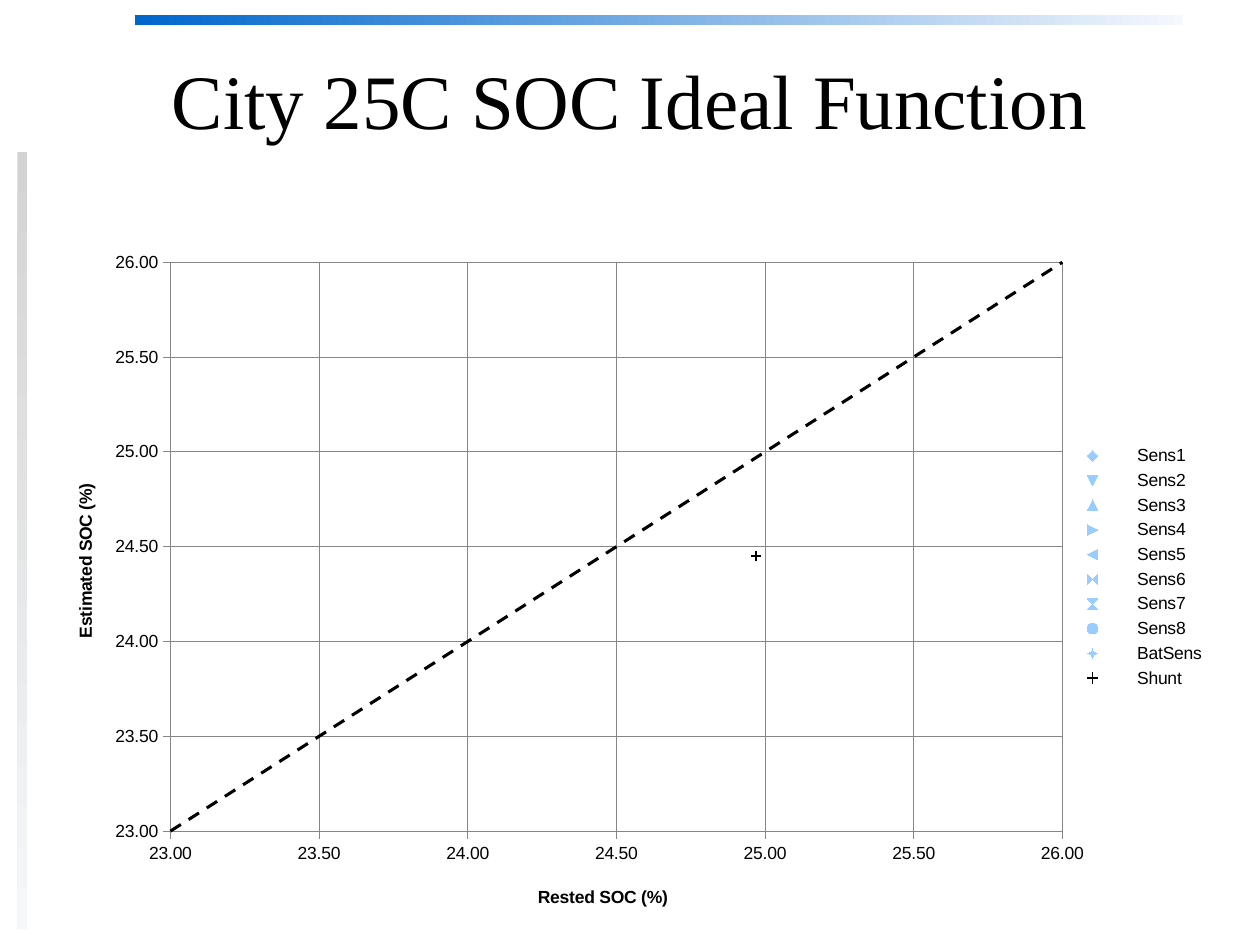
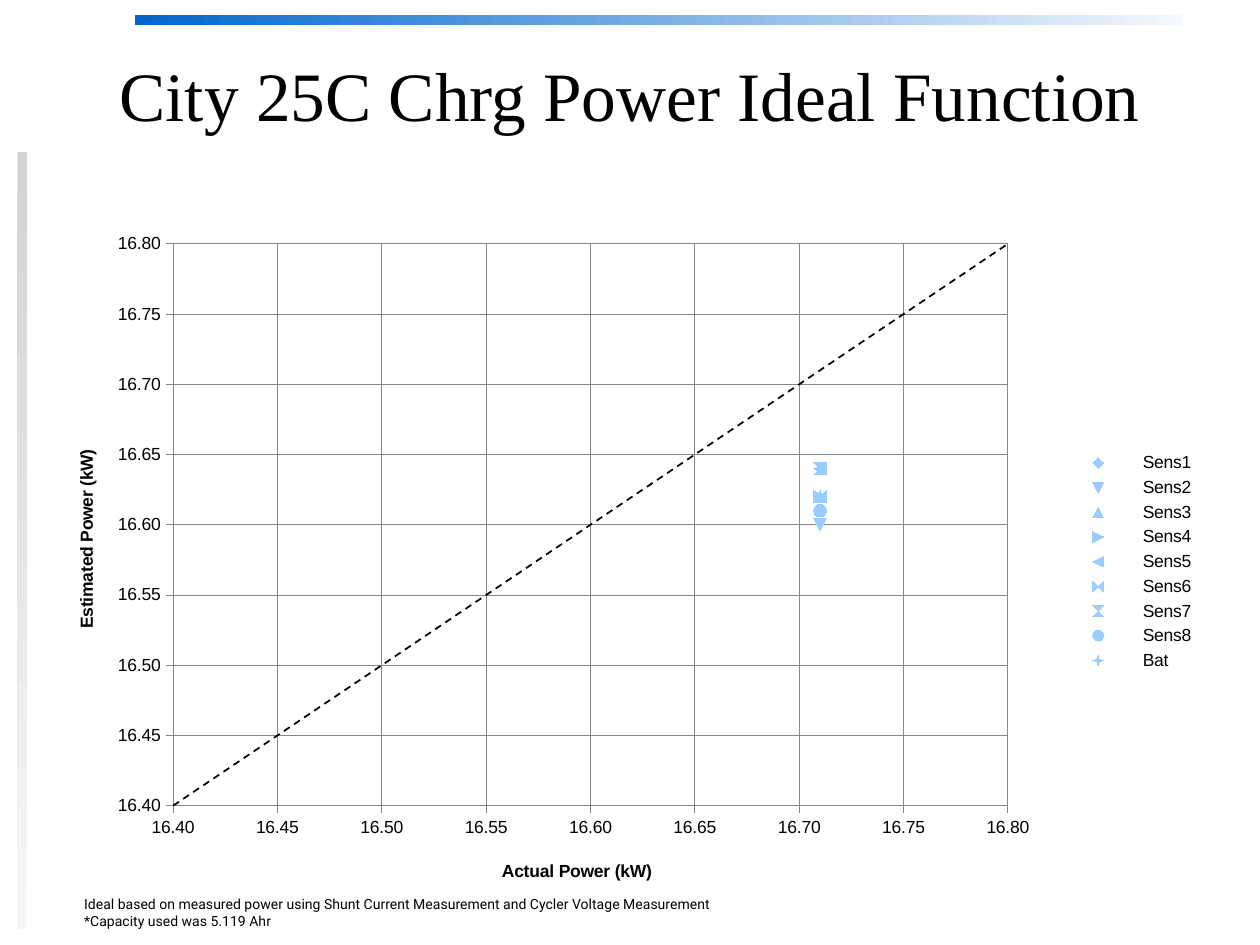
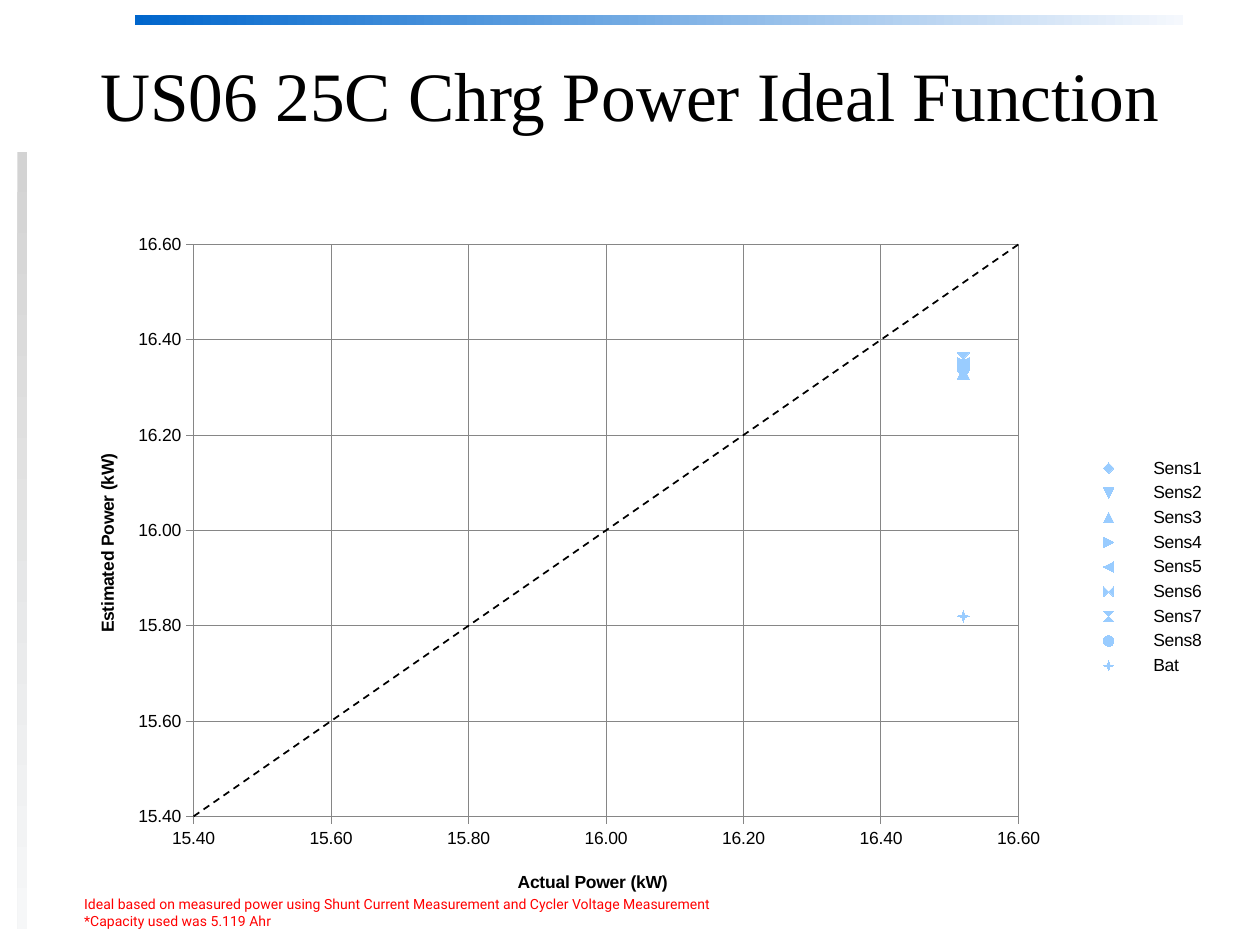
from dataclasses import dataclass

from lxml import etree
from pptx import Presentation
from pptx.chart.data import XyChartData
from pptx.dml.color import RGBColor
from pptx.enum import chart as ch, dml, shapes, text
from pptx.oxml import ns
from pptx.util import Pt


@dataclass(frozen=True)
class Theme:
    ink: str = "000000"
    alert: str = "FF0000"
    grid: str = "868686"
    mark: str = "99CCFF"
    blue: tuple = ("0066CC", "F5F8FD")
    gray: tuple = ("D3D3D3", "F6F7F8")
    head: str = "Times New Roman"
    body: str = "Roboto"
    plot: str = "Arial"
    big: float = 44
    mid: float = 39.6
    small: float = 10
    tiny: float = 8


T = Theme()
NOTE = ("Ideal based on measured power using Shunt Current Measurement "
        "and Cycler Voltage Measurement",
        "*Capacity used was 5.119 Ahr")
SENS = [f"Sens{n}" for n in range(1, 9)]


def rgb(code):
    return RGBColor.from_string(code)


def style(font, size, face, color=T.ink, bold=False):
    font.size, font.name, font.bold = Pt(size), face, bold
    font.color.rgb = rgb(color)


def write(slide, box, *lines, size, face, color=T.ink, align=text.PP_ALIGN.LEFT, top=3.6):
    frame = slide.shapes.add_textbox(*map(Pt, box)).text_frame
    frame.word_wrap = True
    frame.margin_top = Pt(top)
    for n, line in enumerate(lines):
        para = frame.add_paragraph() if n else frame.paragraphs[0]
        run = para.add_run()
        run.text = line
        para.alignment = align
        style(run.font, size, face, color)


def band(slide, box, colors, angle):
    bar = slide.shapes.add_shape(shapes.MSO_SHAPE.RECTANGLE, *map(Pt, box))
    bar.shadow.inherit = False
    bar.line.fill.background()
    bar.fill.gradient()
    bar.fill.gradient_angle = angle
    for stop, color in zip(bar.fill.gradient_stops, colors):
        stop.color.rgb = rgb(color)


def base(deck, title, size):
    """Add a slide with the two bands and its title."""
    slide = deck.slides.add_slide(deck.slide_layouts[6])
    band(slide, (77, 8.6, 599, 5.8), T.blue, 0)
    band(slide, (10, 86.6, 5.6, 444.4), T.gray, 270)
    write(slide, (36, 21.6, 648, 90), title, size=size, face=T.head,
          align=text.PP_ALIGN.CENTER, top=8.2)
    return slide


def node(parent, tag, val=None):
    item = etree.SubElement(parent, ns.qn(tag))
    if val is not None:
        item.set("val", str(val))
    return item


def place(parent, index, frame, spot):
    """Pin a chart part to a spot given in slide points."""
    for old in parent.findall(ns.qn("c:layout")):
        parent.remove(old)
    layout = node(parent, "c:layout")
    parent.insert(index, layout)
    manual = node(layout, "c:manualLayout")
    if len(spot) == 4:
        node(manual, "c:layoutTarget", "inner")
    for key in ("xMode", "yMode"):
        node(manual, f"c:{key}", "edge")
    left, top, wide, high = frame
    parts = [(spot[0] - left) / wide, (spot[1] - top) / high]
    if len(spot) == 4:
        parts += [spot[2] / wide, spot[3] / high]
    for key, part in zip("xywh", parts):
        node(manual, f"c:{key}", part)


def scale(axis, title, low, high, step, frame, spot, turn=0):
    axis.minimum_scale, axis.maximum_scale, axis.major_unit = low, high, step
    axis.major_tick_mark = ch.XL_TICK_MARK.OUTSIDE
    axis.minor_tick_mark = ch.XL_TICK_MARK.NONE
    axis.tick_labels.number_format = "0.00"
    axis.tick_labels.number_format_is_linked = False
    axis.has_major_gridlines = True
    for line in (axis.format.line, axis.major_gridlines.format.line):
        line.color.rgb = rgb(T.grid)
        line.width = Pt(0.5)
    label = axis.axis_title.text_frame
    run = label.paragraphs[0].add_run()
    run.text = title
    style(run.font, T.small, T.plot, bold=True)
    root = axis.axis_title._element
    root.find(".//" + ns.qn("a:bodyPr")).set("rot", str(turn * 60000))
    place(root, 1, frame, spot)


def mark(line, color, size):
    line.format.line.fill.background()
    line.marker.style = ch.XL_MARKER_STYLE.AUTOMATIC
    line.marker.size = size
    line.marker.format.fill.solid()
    line.marker.format.fill.fore_color.rgb = rgb(color)
    line.marker.format.line.color.rgb = rgb(color)


def ideal(line, width):
    line.marker.style = ch.XL_MARKER_STYLE.NONE
    line.format.line.color.rgb = rgb(T.ink)
    line.format.line.width = Pt(width)
    line.format.line.dash_style = dml.MSO_LINE.DASH


def scatter(slide, frame, rows, ends, area, names, spots, span,
            width=1, shunt=None, hide=False):
    """Plot sensor points against a dashed line of equal values."""
    data = XyChartData()
    rows = rows + [("Series 10", [(end, end) for end in ends])]
    if shunt:
        rows.append(("Shunt", [shunt]))
    for name, dots in rows:
        group = data.add_series(name)
        for x, y in dots:
            group.add_data_point(x, y)
    chart = slide.shapes.add_chart(
        ch.XL_CHART_TYPE.XY_SCATTER, *map(Pt, frame), data).chart
    style(chart.font, T.small, T.plot)
    chart.has_title = False
    plot = chart.plots[0]
    plot.vary_by_categories = False
    for line in plot.series:
        line.smooth = False
        if line.name == "Series 10":
            ideal(line, width)
        elif line.name == "Shunt":
            mark(line, T.ink, 5)
        else:
            mark(line, T.mark, 7)
            if hide:
                line.points[0].marker.style = ch.XL_MARKER_STYLE.NONE
    axes = (chart.category_axis, chart.value_axis)
    for axis, name, spot, turn in zip(axes, names, spots, (0, -90)):
        scale(axis, name, *span, frame, spot, turn)
    place(chart._chartSpace.find(".//" + ns.qn("c:plotArea")), 0, frame, area)
    chart.has_legend = True
    legend = chart.legend
    legend.position = ch.XL_LEGEND_POSITION.RIGHT
    legend.include_in_layout = False
    entry = node(legend._element, "c:legendEntry")
    legend._element.insert(1, entry)
    node(entry, "c:idx", len(SENS) + 1)
    node(entry, "c:delete", 1)


def pairs(last, x, *columns):
    """Name each sensor and pair its readings with the x values."""
    return [(name, list(zip(x, dots)))
            for name, dots in zip(SENS + [last], zip(*columns))]


def charge(deck, title, color, **parts):
    slide = base(deck, title, T.mid)
    scatter(slide, ends=(-20, 20),
            names=("Actual Power (kW)", "Estimated Power (kW)"), **parts)
    write(slide, (41, 508.3, 409.7, 26.6), *NOTE, size=T.tiny, face=T.body, color=color)


def main():
    deck = Presentation()
    deck.slide_width, deck.slide_height = Pt(720), Pt(540)
    wide = (36, 126, 660, 396)

    slide = base(deck, "City 25C SOC Ideal Function", T.big)
    scatter(slide, wide,
            pairs("BatSens", [24.97],
                  [24.55, 24.55, 24.65, 24.76, 24.56, 24.64, 24.68, 24.41, 25]),
            ends=(0, 70), area=(97.4, 149.9, 509.7, 325.1),
            names=("Rested SOC (%)", "Estimated SOC (%)"),
            spots=((305.5, 504), (40.5, 274.5)), span=(23, 26, 0.5),
            width=1.75, shunt=(24.97, 24.45), hide=True)

    charge(deck, "City 25C Chrg Power Ideal Function", T.ink,
           frame=(24, 126, 666, 390),
           rows=pairs("Bat", [16.71, -13],
                      [16.61, 16.6, 16.62, 16.62, 16.64, 16.62, 16.64, 16.61, 16.29],
                      [-13.43, -13.44, -13.37, -13.53, -13.63, -13.37, -13.53,
                       -13.42, -13.78]),
           area=(98.9, 139.4, 477.1, 321.1),
           spots=((285, 489.5), (41, 255)), span=(16.4, 16.8, 0.05))

    charge(deck, "US06 25C Chrg Power Ideal Function", T.alert,
           frame=wide,
           rows=pairs("Bat", [16.52, -14],
                      [16.35, 16.34, 16.33, 16.35, 16.35, 16.35, 16.36, 16.34, 15.82],
                      [-14.61, -14.58, -14.6, -14.59, -14.62, -14.62, -14.64,
                       -14.62, -15.49]),
           area=(110.6, 139.7, 471.4, 326.9),
           spots=((294, 495.5), (53, 257.5)), span=(15.4, 16.6, 0.2))

    deck.save("out.pptx")


if __name__ == "__main__":
    main()
